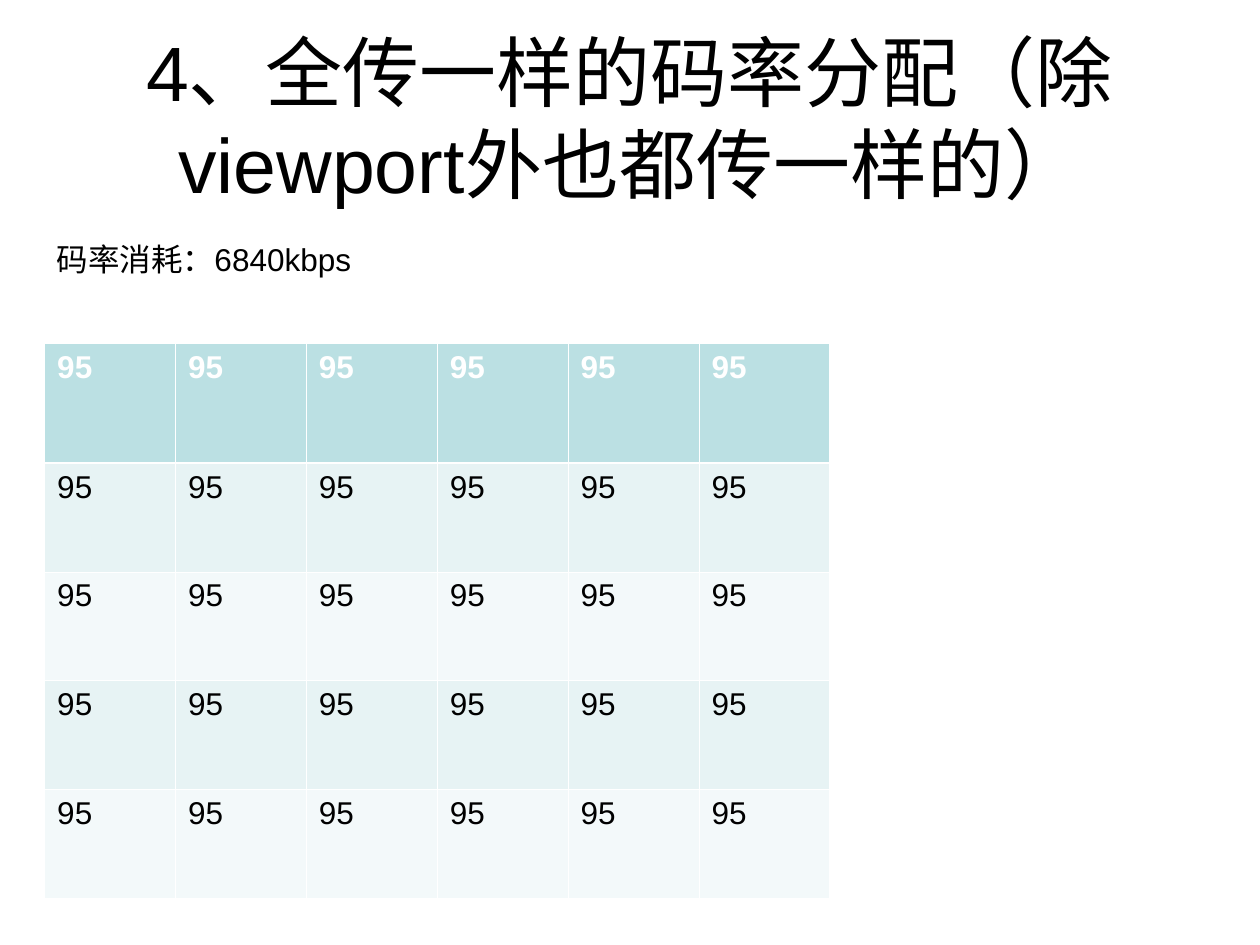
from lxml.etree import SubElement
from pptx import Presentation
from pptx.dml.color import RGBColor
from pptx.enum.text import MSO_ANCHOR, PP_ALIGN
from pptx.oxml.ns import qn
from pptx.util import Cm, Pt

# Content
TITLE = "4、全传一样的码率分配（除viewport外也都传一样的）"
USAGE = "码率消耗：6840kbps"
RATES = [["95"] * 6 for _ in range(5)]

# Look
FONT = "Arial"
BLACK = RGBColor(0x00, 0x00, 0x00)
WHITE = RGBColor(0xFF, 0xFF, 0xFF)
HEAD = RGBColor(0xBB, 0xE0, 0xE3)
BANDS = [RGBColor(0xF3, 0xF9, 0xFA), RGBColor(0xE7, 0xF3, 0xF4)]
THIN, THICK = Pt(0.45), Pt(1.47)

# Table grid, in cm
LEFT, TOP, WIDTH = 0.9, 6.93, 15.83
HEAD_H, ROW_H = 2.41, 2.19


def add_run(para, text, size, color=BLACK, bold=False):
    run = para.add_run()
    run.text = text
    font = run.font
    font.name, font.size, font.bold = FONT, Pt(size), bold
    font.color.rgb = color


def add_text(slide, box, text, size, align, anchor):
    frame = slide.shapes.add_textbox(*map(Cm, box)).text_frame
    frame.word_wrap = True
    frame.vertical_anchor = anchor
    para = frame.paragraphs[0]
    para.alignment = align
    add_run(para, text, size)


def add_border(cell, side, width):
    props = cell._tc.get_or_add_tcPr()
    line = SubElement(props, qn("a:ln" + side), w=str(int(width)))
    fill = SubElement(line, qn("a:solidFill"))
    SubElement(fill, qn("a:srgbClr"), val=str(WHITE))


def style_cell(cell, row, text):
    head = row == 0
    # Borders come before the fill in the cell properties
    for side in "LRTB":
        thick = (row, side) in [(0, "B"), (1, "T")]
        add_border(cell, side, THICK if thick else THIN)
    cell.fill.solid()
    cell.fill.fore_color.rgb = HEAD if head else BANDS[row % 2]
    add_run(cell.text_frame.paragraphs[0], text, 18,
            WHITE if head else BLACK, head)


def add_rates(slide):
    rows, cols = len(RATES), len(RATES[0])
    high = HEAD_H + ROW_H * (rows - 1)
    table = slide.shapes.add_table(
        rows, cols, Cm(LEFT), Cm(TOP), Cm(WIDTH), Cm(high)).table
    for col in table.columns:
        col.width = Cm(WIDTH / cols)
    for row, rates in enumerate(RATES):
        table.rows[row].height = Cm(ROW_H if row else HEAD_H)
        for col, rate in enumerate(rates):
            style_cell(table.cell(row, col), row, rate)


def main():
    deck = Presentation()
    deck.slide_width, deck.slide_height = Cm(25.4), Cm(19.05)
    slide = deck.slides.add_slide(deck.slide_layouts[6])
    # Title, bit rate table, total use
    add_text(slide, (1.27, 0.76, 22.86, 3.18), TITLE, 44,
             PP_ALIGN.CENTER, MSO_ANCHOR.MIDDLE)
    add_rates(slide)
    add_text(slide, (0.9, 4.72, 18.36, 1.02), USAGE, 18,
             PP_ALIGN.LEFT, MSO_ANCHOR.TOP)
    deck.save("out.pptx")


if __name__ == "__main__":
    main()
